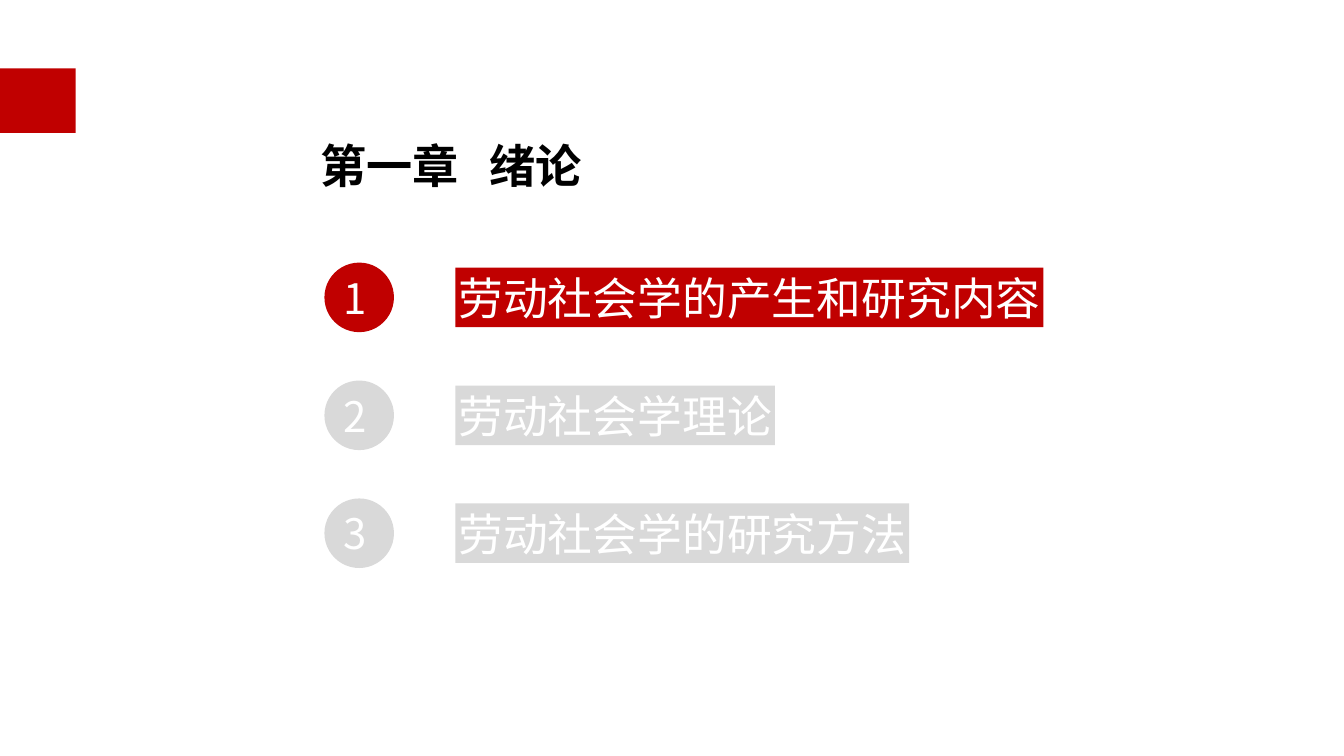
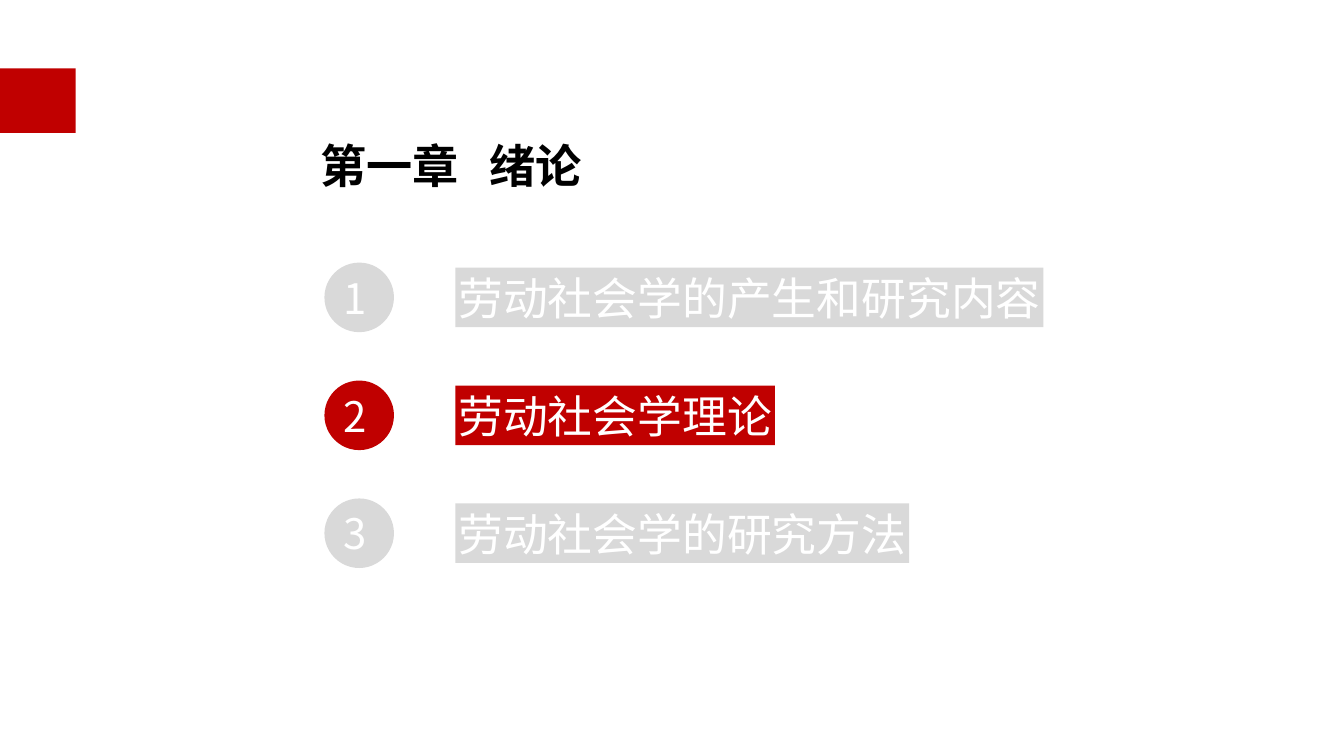
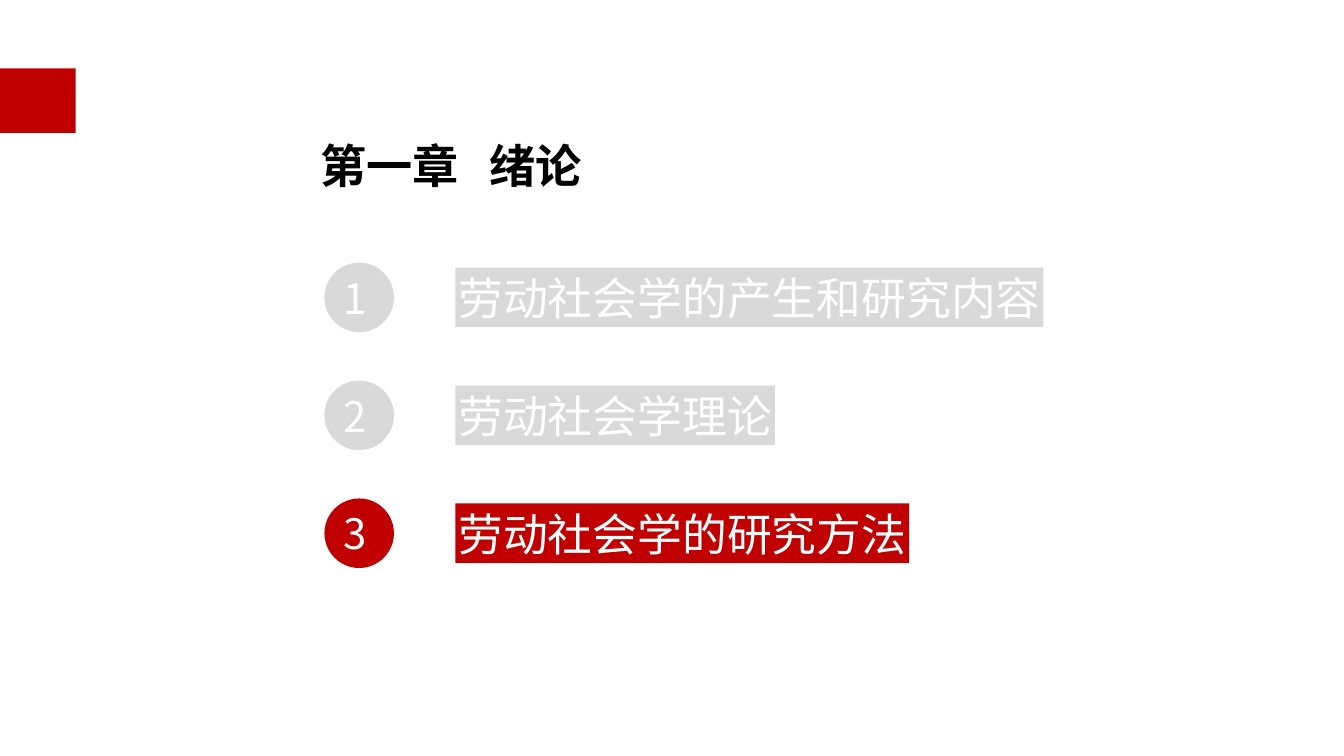
from dataclasses import dataclass

from lxml.etree import SubElement
from pptx import Presentation
from pptx.dml.color import RGBColor
from pptx.enum.shapes import MSO_SHAPE as Preset
from pptx.enum.text import MSO_ANCHOR as Anchor, MSO_AUTO_SIZE as AutoSize, PP_ALIGN as Align
from pptx.oxml.ns import qn
from pptx.shapes.autoshape import Shape
from pptx.slide import Slide, SlideLayout
from pptx.text.text import TextFrame
from pptx.util import Inches, Pt

RED = RGBColor(0xC0, 0x00, 0x00)
GREY = RGBColor(0xD9, 0xD9, 0xD9)
WHITE = RGBColor(0xFF, 0xFF, 0xFF)
BLACK = RGBColor(0x00, 0x00, 0x00)
FONT = "Noto Sans CJK SC"

TITLE = "第一章\t绪论"
TITLE_TAB = 1.68
TOPICS = ("劳动社会学的产生和研究内容", "劳动社会学理论", "劳动社会学的研究方法")

FIRST_CENTRE = 2.95
ROW_PITCH = 1.17
CIRCLE_LEFT = 3.22
CIRCLE_SIZE = 0.69
LABEL_LEFT = 4.52
LABEL_HEIGHT = 0.59
LABEL_SIZE = 32
INSET = 0.03


@dataclass(frozen=True)
class Area:
    left: float
    top: float
    width: float
    height: float


@dataclass(frozen=True)
class TextStyle:
    size: int
    color: RGBColor
    bold: bool = False
    inset: float = INSET
    left_inset: float = INSET
    wrap: bool = True


TITLE_STYLE = TextStyle(33, BLACK, bold=True)
NUMBER_STYLE = TextStyle(30, WHITE, inset=0, left_inset=0.09)
LABEL_STYLE = TextStyle(LABEL_SIZE, WHITE, wrap=False)


def write(frame: TextFrame, text: str, style: TextStyle) -> None:
    frame.word_wrap = style.wrap
    frame.auto_size = AutoSize.NONE
    frame.vertical_anchor = Anchor.MIDDLE
    frame.margin_left = Inches(style.left_inset)
    frame.margin_top = frame.margin_right = frame.margin_bottom = Inches(style.inset)
    para = frame.paragraphs[0]
    para.alignment = Align.LEFT
    span = para.add_run()
    span.text = text
    span.font.name = FONT
    span.font.size = Pt(style.size)
    span.font.bold = style.bold
    span.font.color.rgb = style.color
    SubElement(span._r.get_or_add_rPr(), qn("a:ea"), typeface=FONT)


def add_block(page: Slide, preset: Preset, area: Area, color: RGBColor) -> Shape:
    block = page.shapes.add_shape(
        preset, Inches(area.left), Inches(area.top), Inches(area.width), Inches(area.height)
    )
    block.shadow.inherit = False
    block.fill.solid()
    block.fill.fore_color.rgb = color
    block.line.fill.background()
    return block


def add_layout_band(layout: SlideLayout, page: Slide) -> None:
    band = add_block(page, Preset.RECTANGLE, Area(0, 0.68, 0.75, 0.64), RED)
    layout.shapes.element.append(band.element)


def set_title(page: Slide) -> None:
    title = page.shapes.title
    title.left, title.top = Inches(3.15), Inches(1.06)
    title.width, title.height = Inches(2.85), Inches(0.88)
    para = title.text_frame.paragraphs[0]
    tabs = SubElement(para._p.get_or_add_pPr(), qn("a:tabLst"))
    SubElement(tabs, qn("a:tab"), pos=str(Inches(TITLE_TAB)), algn="l")
    para.line_spacing = 1.5
    write(title.text_frame, TITLE, TITLE_STYLE)


def add_topic(page: Slide, index: int, topic: str, color: RGBColor) -> None:
    centre = FIRST_CENTRE + index * ROW_PITCH
    circle_area = Area(CIRCLE_LEFT, centre - CIRCLE_SIZE / 2, CIRCLE_SIZE, CIRCLE_SIZE)
    circle = add_block(page, Preset.OVAL, circle_area, color)
    write(circle.text_frame, str(index + 1), NUMBER_STYLE)
    label_width = len(topic) * LABEL_SIZE / 72 + 2 * INSET
    label_area = Area(LABEL_LEFT, centre - LABEL_HEIGHT / 2, label_width, LABEL_HEIGHT)
    label = add_block(page, Preset.RECTANGLE, label_area, color)
    write(label.text_frame, topic, LABEL_STYLE)


def main() -> None:
    deck = Presentation()
    deck.slide_width, deck.slide_height = Inches(13.34), Inches(7.5)
    layout = deck.slide_layouts.get_by_name("Title Only")
    for current in range(len(TOPICS)):
        page = deck.slides.add_slide(layout)
        if current == 0:
            add_layout_band(layout, page)
        set_title(page)
        for index, topic in enumerate(TOPICS):
            add_topic(page, index, topic, RED if index == current else GREY)
    deck.save("out.pptx")


if __name__ == "__main__":
    main()
